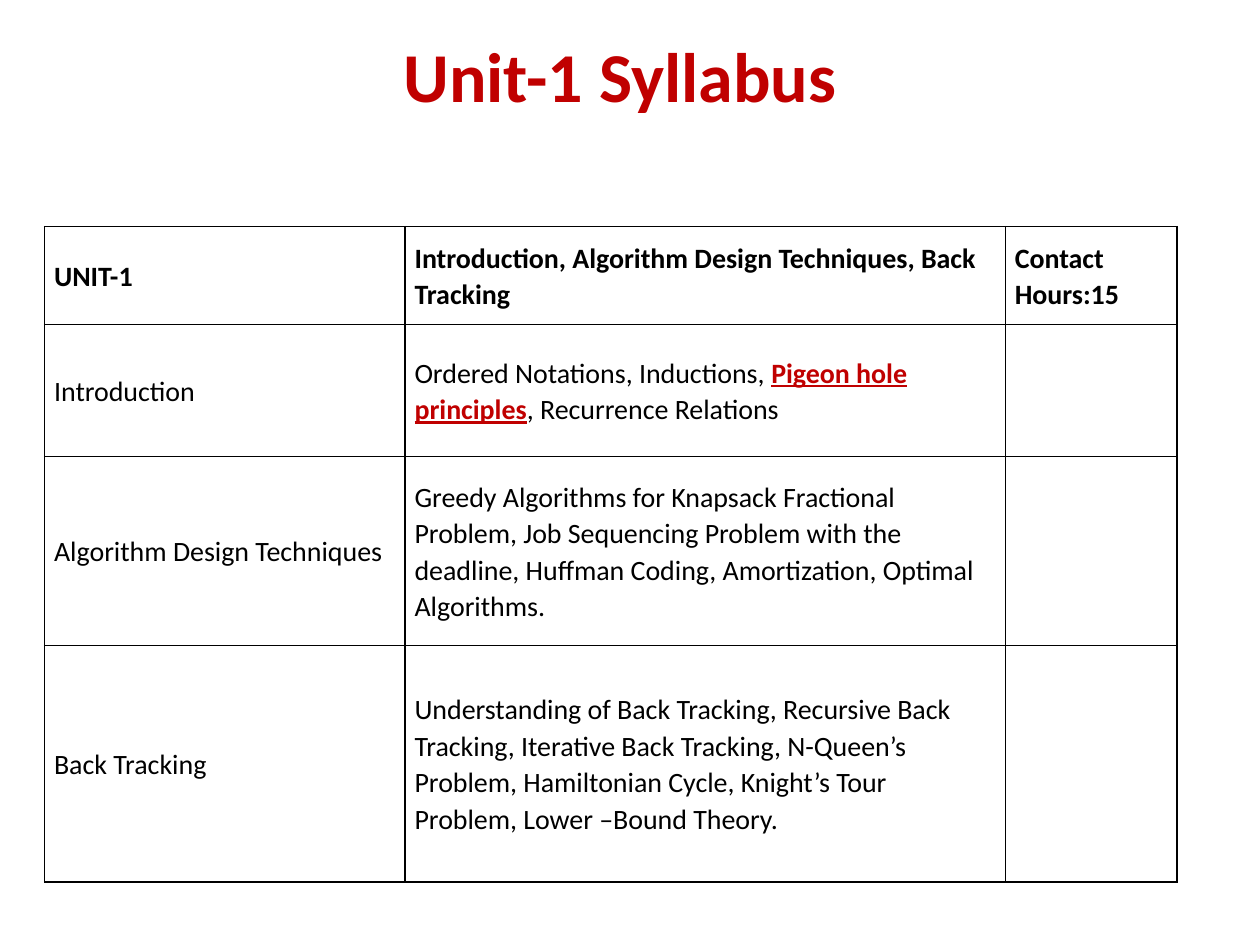
from lxml.etree import SubElement
from pptx import Presentation
from pptx.dml.color import RGBColor
from pptx.enum.text import MSO_ANCHOR as Anchor, PP_ALIGN as Align
from pptx.oxml.ns import qn
from pptx.util import Pt

COLORS = {"text": "000000", "accent": "C00000", "border": "000000"}
FONT = "Calibri"
COLUMN_WIDTHS = [206, 343, 98]
ROW_HEIGHTS = [56, 75.5, 108, 135]
# A cell is a string, or a list of (text, highlighted) pieces.
ROWS = [
    ["UNIT-1", "Introduction, Algorithm Design Techniques, Back Tracking",
     "Contact Hours:15"],
    ["Introduction",
     [("Ordered Notations, Inductions, ", False),
      ("Pigeon hole principles", True),
      (", Recurrence Relations", False)], ""],
    ["Algorithm Design Techniques",
     "Greedy Algorithms for Knapsack Fractional Problem, Job Sequencing "
     "Problem with the deadline, Huffman Coding, Amortization, Optimal "
     "Algorithms.", ""],
    ["Back Tracking",
     "Understanding of Back Tracking, Recursive Back Tracking, Iterative "
     "Back Tracking, N-Queen’s Problem, Hamiltonian Cycle, Knight’s Tour "
     "Problem, Lower –Bound Theory.", ""],
]


def add_text(paragraph, text, size=16, color="text", bold=False, underline=False):
    run = paragraph.add_run()
    run.text = text
    font = run.font
    font.name, font.size = FONT, Pt(size)
    font.bold, font.underline = bold, underline
    font.color.rgb = RGBColor.from_string(COLORS[color])


def add_title(slide, text):
    title = slide.shapes.title
    title.left, title.top, title.width, title.height = Pt(44), Pt(21.5), Pt(620.5), Pt(48)
    frame = title.text_frame
    frame.word_wrap = True
    frame.vertical_anchor = Anchor.MIDDLE
    paragraph = frame.paragraphs[0]
    paragraph.alignment = Align.CENTER
    paragraph.line_spacing = 0.9
    add_text(paragraph, text, size=40, color="accent", bold=True)


def add_borders(cell, width=1):
    properties = cell._tc.get_or_add_tcPr()
    for side in ("a:lnL", "a:lnR", "a:lnT", "a:lnB"):
        line = SubElement(properties, qn(side), w=str(Pt(width)))
        fill = SubElement(line, qn("a:solidFill"))
        SubElement(fill, qn("a:srgbClr"), val=COLORS["border"])


def fill_cell(cell, content, bold):
    add_borders(cell)
    cell.fill.background()
    cell.vertical_anchor = Anchor.MIDDLE
    cell.margin_left = cell.margin_right = Pt(5.4)
    cell.margin_top = cell.margin_bottom = Pt(0)
    if not content:
        return
    paragraph = cell.text_frame.paragraphs[0]
    paragraph.line_spacing = 1.07
    pieces = [(content, False)] if isinstance(content, str) else content
    for text, highlighted in pieces:
        add_text(paragraph, text, color="accent" if highlighted else "text",
                 bold=bold or highlighted, underline=highlighted)


def add_syllabus_table(slide):
    frame = slide.shapes.add_table(
        len(ROWS), len(COLUMN_WIDTHS), Pt(25.5), Pt(129.5),
        Pt(sum(COLUMN_WIDTHS)), Pt(sum(ROW_HEIGHTS)))
    table = frame.table
    table.first_row = table.horz_banding = False
    for column, width in zip(table.columns, COLUMN_WIDTHS):
        column.width = Pt(width)
    for row, height, contents in zip(table.rows, ROW_HEIGHTS, ROWS):
        row.height = Pt(height)
        for cell, content in zip(row.cells, contents):
            fill_cell(cell, content, bold=contents is ROWS[0])


def main():
    presentation = Presentation()
    presentation.slide_width, presentation.slide_height = Pt(720), Pt(540)
    slide = presentation.slides.add_slide(presentation.slide_layouts[5])
    add_title(slide, "Unit-1 Syllabus")
    add_syllabus_table(slide)
    presentation.save("out.pptx")


if __name__ == "__main__":
    main()
